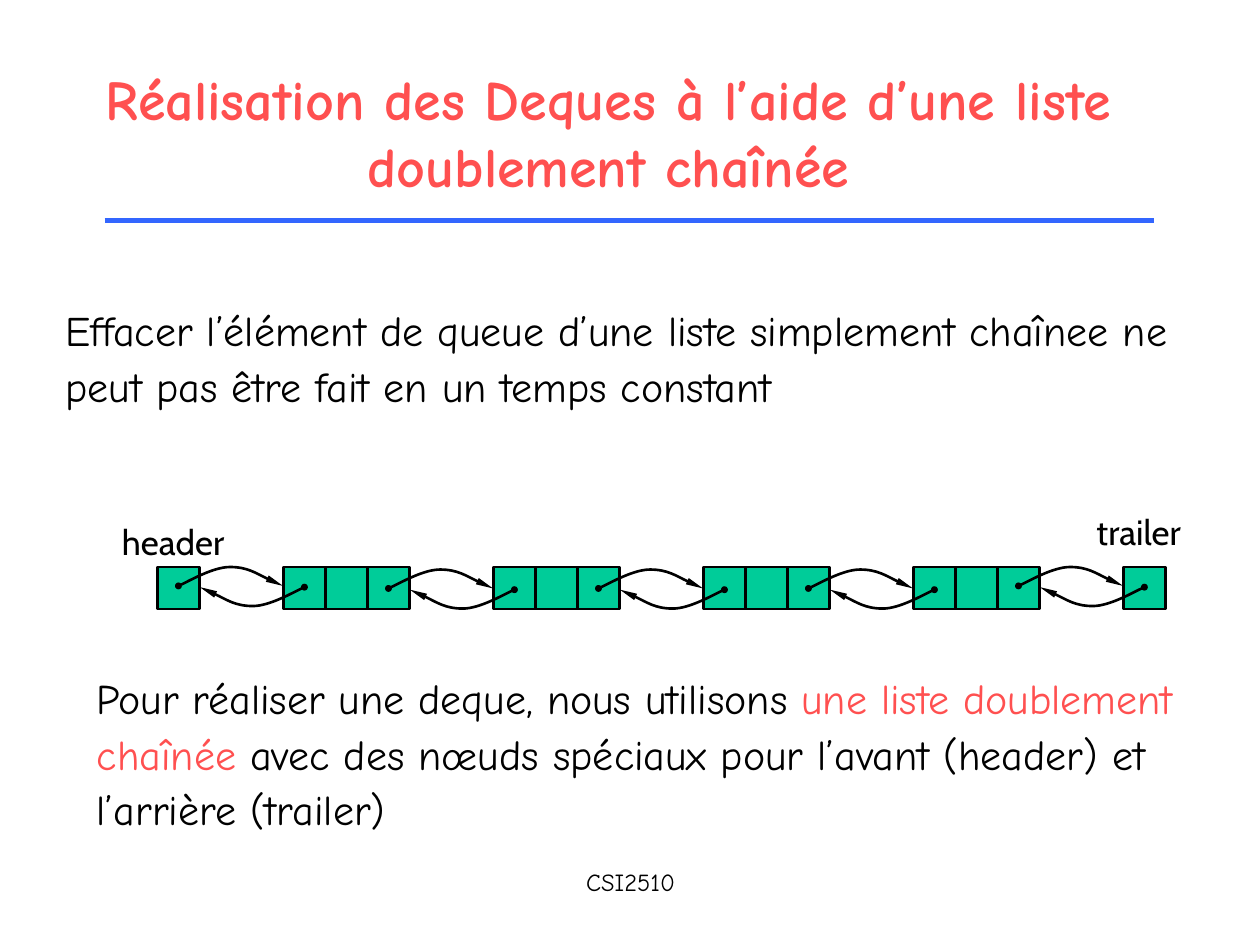
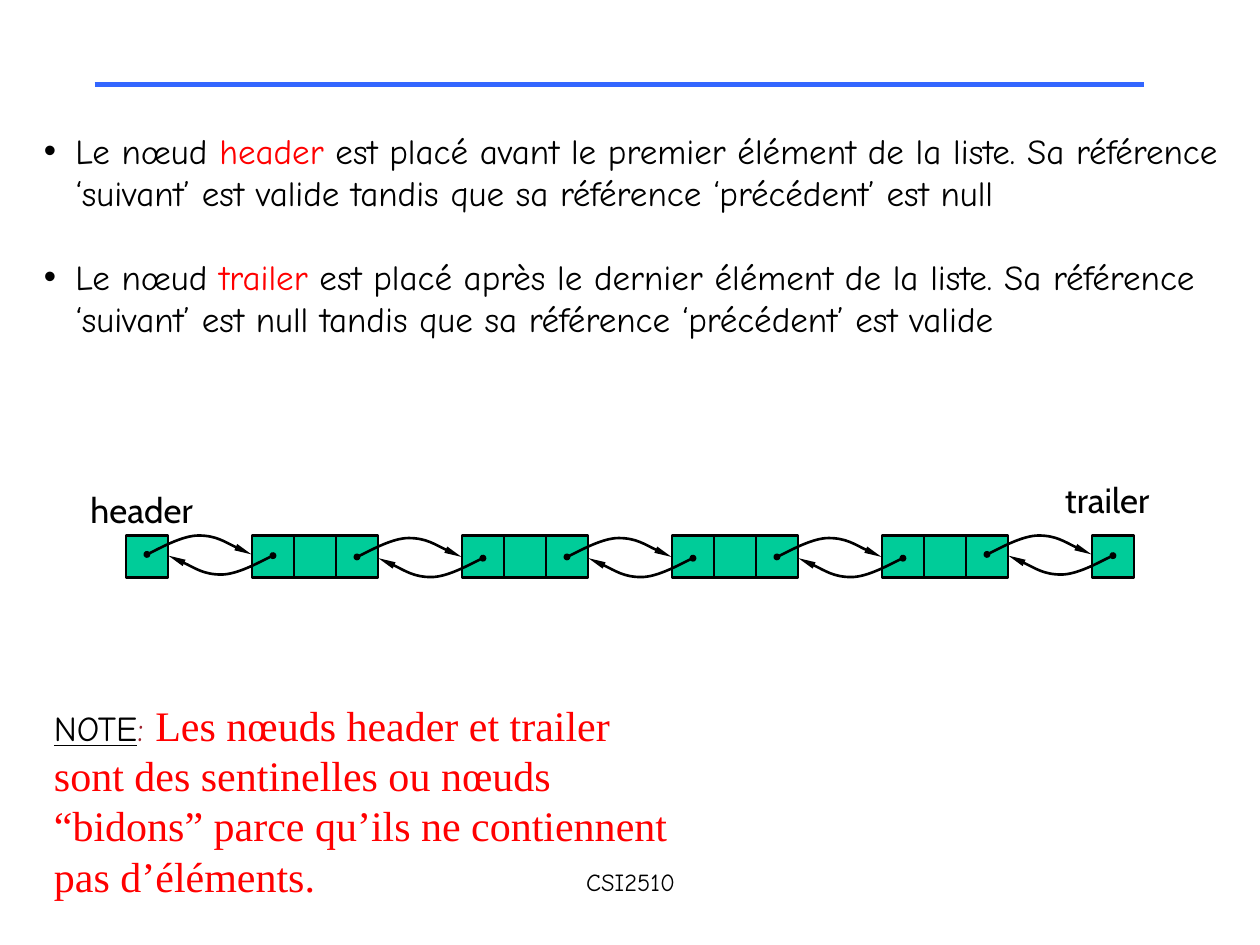
from typing import NamedTuple, Optional

from lxml.etree import SubElement
from pptx import Presentation
from pptx.dml.color import RGBColor
from pptx.enum.shapes import MSO_CONNECTOR, MSO_SHAPE
from pptx.enum.text import MSO_ANCHOR, PP_ALIGN
from pptx.oxml.ns import qn
from pptx.util import Inches, Pt

# Shared colours and fonts
BLACK, RED, CORAL = "000000", "FF0000", "FF5050"
BLUE, GREEN, MAROON = "3366FF", "00CC99", "9E222D"
BODY_FONT, LABEL_FONT, NOTE_FONT = "Comic Neue", "Cabin", "Times New Roman"

# Linked list geometry, in inches
CELL = 1 / 3
PITCH = 5 * CELL
NODE_COUNT = 4
CELLS_PER_NODE = 3
LINK_CURVE = [(0.07, -0.03), (0.28, -0.15), (0.41, -0.15),
              (0.55, -0.15), (0.75, -0.03), (0.83, 0)]


class Run(NamedTuple):
    text: str
    size: float = 24
    color: str = BLACK
    font: str = BODY_FONT
    bold: bool = False
    underline: bool = False


class Block(NamedTuple):
    left: float
    top: float
    width: float
    height: float
    paragraphs: list[list[Run]]
    align: PP_ALIGN = PP_ALIGN.LEFT
    anchor: MSO_ANCHOR = MSO_ANCHOR.TOP
    line_spacing: Optional[float] = None
    space_before: float = 0
    bulleted: bool = False
    wrap: bool = True


def rgb(color: str) -> RGBColor:
    return RGBColor.from_string(color)


def add_bullet(paragraph) -> None:
    properties = paragraph._p.get_or_add_pPr()
    properties.set("marL", str(Inches(0.5)))
    properties.set("indent", str(Inches(-0.25)))
    SubElement(properties, qn("a:buFont")).set("typeface", "Arial")
    SubElement(properties, qn("a:buChar")).set("char", "•")


def add_block(slide, block: Block) -> None:
    box = slide.shapes.add_textbox(Inches(block.left), Inches(block.top),
                                   Inches(block.width), Inches(block.height))
    frame = box.text_frame
    frame.word_wrap = block.wrap
    frame.vertical_anchor = block.anchor
    for index, runs in enumerate(block.paragraphs):
        paragraph = frame.add_paragraph() if index else frame.paragraphs[0]
        if block.bulleted:
            add_bullet(paragraph)
        paragraph.alignment = block.align
        if block.line_spacing:
            paragraph.line_spacing = block.line_spacing
        if index:
            paragraph.space_before = Pt(block.space_before)
        for part in runs:
            run = paragraph.add_run()
            run.text = part.text
            run.font.size = Pt(part.size)
            run.font.name = part.font
            run.font.bold = part.bold
            run.font.underline = part.underline
            run.font.color.rgb = rgb(part.color)


def add_rule(slide, left: float, top: float) -> None:
    rule = slide.shapes.add_connector(
        MSO_CONNECTOR.STRAIGHT, Inches(left), Inches(top),
        Inches(left + 8.33), Inches(top))
    rule.line.color.rgb = rgb(BLUE)
    rule.line.width = Pt(2.5)
    SubElement(rule._element.spPr, qn("a:effectLst"))


def add_footer(slide) -> None:
    add_block(slide, Block(3.42, 6.83, 3.17, 0.5, [[Run("CSI2510", 14)]],
                           PP_ALIGN.CENTER))


def outline(shape) -> None:
    shape.shadow.inherit = False
    shape.line.color.rgb = rgb(BLACK)
    shape.line.width = Pt(1.5)


def add_cell(slide, left: float, top: float) -> None:
    cell = slide.shapes.add_shape(MSO_SHAPE.RECTANGLE, Inches(left), Inches(top),
                                  Inches(CELL), Inches(CELL))
    cell.fill.solid()
    cell.fill.fore_color.rgb = rgb(GREEN)
    outline(cell)


def add_link(slide, x: float, y: float, direction: int) -> None:
    """Curved pointer: direction 1 arches to the right, -1 dips to the left."""
    builder = slide.shapes.build_freeform(Inches(x), Inches(y))
    builder.add_line_segments(
        [(Inches(x + direction * dx), Inches(y + direction * dy))
         for dx, dy in LINK_CURVE], close=False)
    link = builder.convert_to_shape()
    link.fill.background()
    outline(link)

    # Turn each three straight segments into one cubic curve
    path = next(link._element.iter(qn("a:path")))
    segments = path.findall(qn("a:lnTo"))
    for start in range(0, len(segments), 3):
        curve = SubElement(path, qn("a:cubicBezTo"))
        for segment in segments[start:start + 3]:
            curve.append(segment[0])
            path.remove(segment)

    # Dot at the start, arrow at the end
    line = link.line._get_or_add_ln()
    for tag, kind, length in (("a:headEnd", "oval", "sm"),
                              ("a:tailEnd", "triangle", "lg")):
        end = SubElement(line, qn(tag))
        end.set("type", kind)
        end.set("w", "sm")
        end.set("len", length)


def add_linked_list(slide, left: float, top: float) -> None:
    # Sentinels and inner nodes
    trailer_left = left + NODE_COUNT * PITCH + 3 * CELL
    add_cell(slide, left, top)
    for node in range(NODE_COUNT):
        for cell in range(CELLS_PER_NODE):
            add_cell(slide, left + node * PITCH + (3 + cell) * CELL, top)
    add_cell(slide, trailer_left, top)

    # Forward and backward pointers, slightly higher next to the sentinels
    for gap in range(NODE_COUNT + 1):
        lift = 0.02 if gap in (0, NODE_COUNT) else 0
        middle = left + gap * PITCH + CELL / 2
        add_link(slide, middle, top + 0.17 - lift, 1)
        add_link(slide, middle + 3 * CELL, top + 0.18 - lift, -1)

    # Sentinel names
    for name, x, y, width in (("trailer", trailer_left - 0.37, top - 0.5, 0.98),
                              ("header", left - 0.44, top - 0.42, 1.13)):
        add_block(slide, Block(x, y, width, 0.44,
                               [[Run(name, 20, font=LABEL_FONT)]],
                               PP_ALIGN.CENTER, wrap=False))


def build_deque_slide(slide) -> None:
    add_footer(slide)
    add_block(slide, Block(
        0.58, 0.42, 8.5, 1.25,
        [[Run("Réalisation des Deques à l’aide d’une liste doublement chaînée",
              32, CORAL, bold=True)]],
        PP_ALIGN.CENTER, MSO_ANCHOR.MIDDLE))
    add_rule(slide, 0.83, 1.75)
    add_block(slide, Block(
        0.42, 2.33, 9.33, 0.98,
        [[Run("Effacer l’élément de queue d’une liste simplement chaînee ne "
              "peut pas être fait en un temps constant")]],
        line_spacing=1.1))
    add_block(slide, Block(
        0.67, 5.25, 9.33, 1.42,
        [[Run("Pour réaliser une deque, nous utilisons "),
          Run("une liste doublement chaînée", color=CORAL),
          Run(" avec des nœuds spéciaux pour l’avant (header) et "
              "l’arrière (trailer)")]],
        line_spacing=1.1))
    add_linked_list(slide, 1.25, 4.5)


def build_sentinel_slide(slide) -> None:
    add_footer(slide)
    add_block(slide, Block(
        0, 0.98, 10, 1.77,
        [[Run("Le nœud ", 20), Run("header", 20, RED),
          Run(" est placé avant le premier élément de la liste. Sa référence "
              "‘suivant’ est valide tandis que sa référence ‘précédent’ "
              "est null", 20)],
         [Run("Le nœud ", 20), Run("trailer", 20, RED),
          Run(" est placé après le dernier élément de la liste. Sa référence "
              "‘suivant’ est null tandis que sa référence ‘précédent’ "
              "est valide", 20)]],
        space_before=24, bulleted=True))
    add_block(slide, Block(
        0.33, 5.5, 5.17, 1.7,
        [[Run("NOTE", 20, underline=True), Run(": ", 20, MAROON),
          Run("Les nœuds header et trailer sont des sentinelles ou nœuds "
              "“bidons” parce qu’ils ne contiennent pas d’éléments.",
              24, RED, NOTE_FONT)]]))
    add_linked_list(slide, 1, 4.25)
    add_rule(slide, 0.75, 0.67)


def main() -> None:
    deck = Presentation()
    deck.slide_width, deck.slide_height = Inches(10), Inches(7.5)
    for build in (build_deque_slide, build_sentinel_slide):
        build(deck.slides.add_slide(deck.slide_layouts[6]))
    deck.save("out.pptx")


if __name__ == "__main__":
    main()
